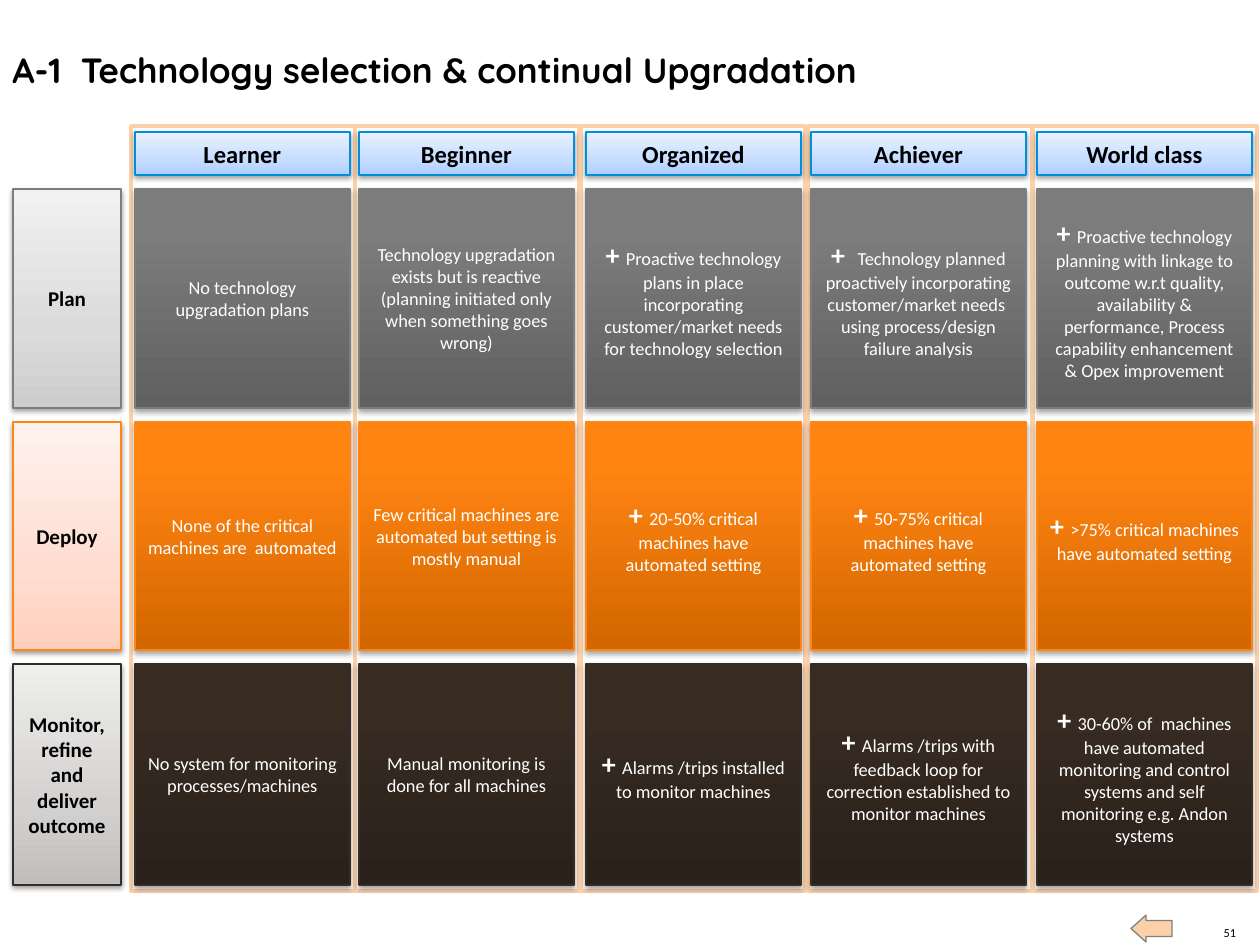
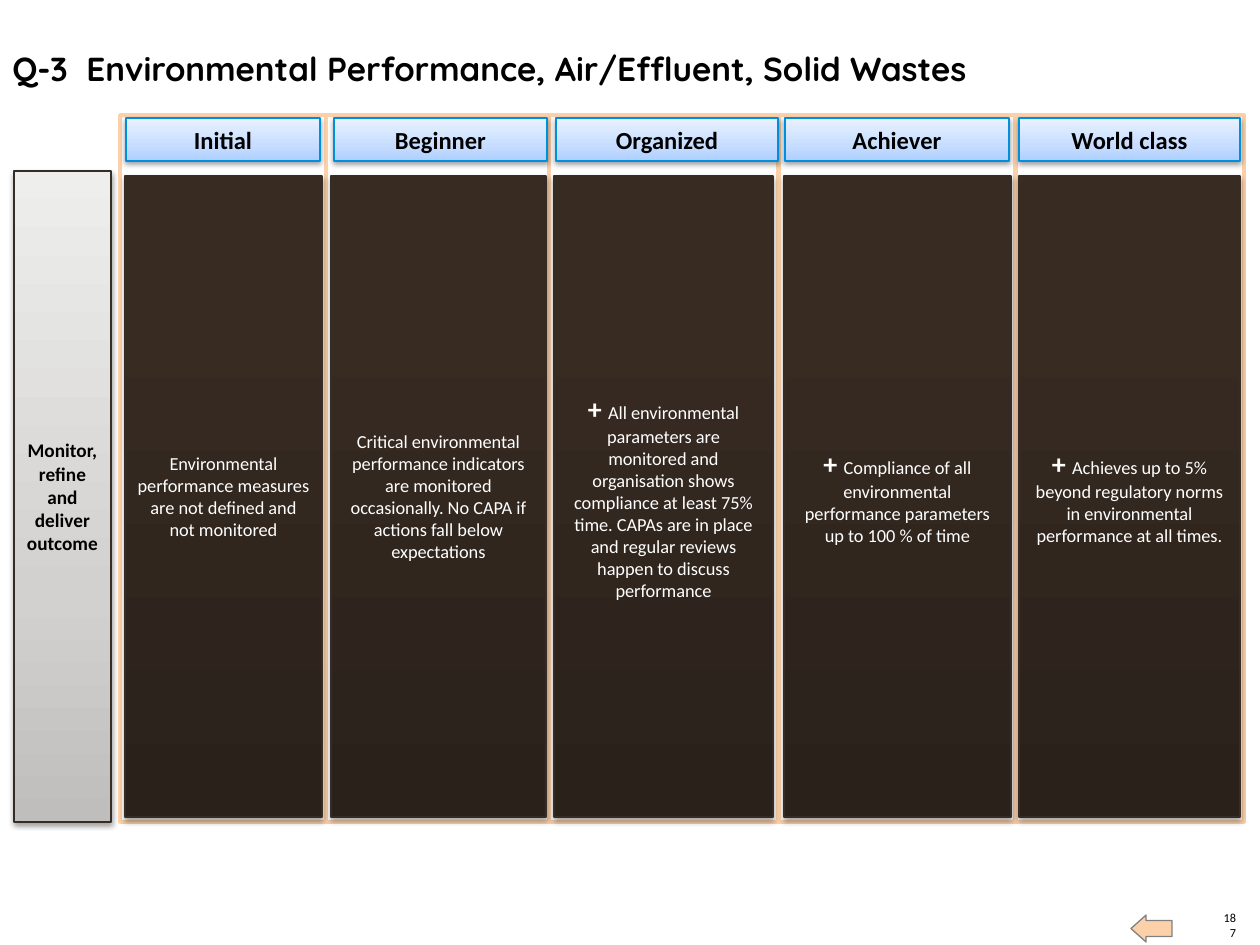
from lxml import etree
from pptx import Presentation
from pptx.dml.color import RGBColor
from pptx.enum.shapes import MSO_SHAPE
from pptx.enum.text import MSO_ANCHOR, PP_ALIGN
from pptx.oxml.ns import qn
from pptx.util import Pt

RECTANGLE = MSO_SHAPE.RECTANGLE
ARROW = MSO_SHAPE.RIGHT_ARROW
TOP, MIDDLE, BOTTOM = MSO_ANCHOR.TOP, MSO_ANCHOR.MIDDLE, MSO_ANCHOR.BOTTOM
LEFT, CENTER, RIGHT = PP_ALIGN.LEFT, PP_ALIGN.CENTER, PP_ALIGN.RIGHT

PIXEL = 914400 / 126
SLIDE_SIZE = (1260, 945)
BODY_FONT, TITLE_FONT = "Calibri", "Quicksand"
COLORS = {
    "text": "000000",
    "light": "FFFFFF",
    "peach": "FCD1AA",
    "arrow_line": "808080",
}

# Gradient stops run from the bottom edge to the top edge
STYLES = {
    "header": {"stops": [(0, "AECFFF"), (35, "C6DDFF"), (100, "E9F2FF")], "line": "008FDC"},
    "plan_label": {"stops": [(0, "CDCDCD"), (35, "DBDBDB"), (100, "F1F1F1")], "line": "7D7D7D"},
    "plan_card": {"stops": [(0, "606060"), (80, "7C7C7C"), (100, "7D7D7D")], "line": "7D7D7D"},
    "deploy_label": {"stops": [(0, "FFCFBD"), (35, "FFDDD1"), (100, "FFF2EE")], "line": "FF8615"},
    "deploy_card": {"stops": [(0, "D26600"), (80, "FF8412"), (100, "FF8514")], "line": "FF8615"},
    "monitor_label": {"stops": [(0, "C0BEBC"), (35, "D3D1D0"), (100, "EEEEED")], "line": "352C25"},
    "monitor_card": {"stops": [(0, "2A211B"), (80, "372B22"), (100, "372B22")], "line": "352C25"},
}
# Opacity in percent, blur and distance in points
PALE_SHADOW = (38, 3.15, 1.57)
CARD_SHADOW = (35, 3.15, 1.81)

# Content; every column span is (left, width), every row span is (top, height)
TECHNOLOGY_CARDS = [(135, 215), (359, 215), (586, 215), (811, 215), (1037, 215)]
MATRICES = [
    {
        "title": "A-1  Technology selection & continual Upgradation",
        "title_size": 20,
        "page": "51",
        "levels": ["Learner", "Beginner", "Organized", "Achiever", "World class"],
        "frame_columns": [(131, 224), (355, 224), (581, 224), (808, 224), (1033, 224)],
        "header_columns": TECHNOLOGY_CARDS,
        "card_columns": TECHNOLOGY_CARDS,
        "label_column": (13, 108),
        "label_size": 12,
        "frame_span": (126, 765),
        "header_span": (132, 43),
        "rows": [
            {
                "name": "Plan", "style": "plan",
                "label_span": (189, 219), "card_span": (189, 219),
                "cards": [
                    "No technology upgradation plans",
                    "Technology upgradation exists but is reactive (planning initiated "
                    "only when something goes wrong)",
                    "+ Proactive technology plans in place incorporating "
                    "customer/market needs for technology selection",
                    "+  Technology planned proactively incorporating customer/market "
                    "needs  using process/design failure analysis",
                    "+ Proactive technology planning with linkage to outcome w.r.t "
                    "quality, availability & performance, Process capability "
                    "enhancement & Opex improvement",
                ],
            },
            {
                "name": "Deploy", "style": "deploy",
                "label_span": (422, 228), "card_span": (422, 228),
                "cards": [
                    "None of the critical machines are  automated",
                    "Few critical machines are automated but setting is mostly manual",
                    "+ 20-50% critical machines have automated setting",
                    "+ 50-75% critical machines have automated setting",
                    "+ >75% critical machines have automated setting",
                ],
            },
            {
                "name": "Monitor, refine and deliver outcome", "style": "monitor",
                "label_span": (664, 221), "card_span": (664, 221),
                "cards": [
                    "No system for monitoring processes/machines",
                    "Manual monitoring is done for all machines",
                    "+ Alarms /trips installed to monitor machines",
                    "+ Alarms /trips with feedback loop for correction established "
                    "to monitor machines",
                    "+ 30-60% of  machines have automated monitoring and control "
                    "systems and self monitoring e.g. Andon systems",
                ],
            },
        ],
    },
    {
        "title": "Q-3  Environmental Performance, Air/Effluent, Solid Wastes",
        "title_size": 19,
        "page": "187",
        "levels": ["Initial", "Beginner", "Organized", "Achiever", "World class"],
        "frame_columns": [(120, 207), (326, 226), (549, 229), (779, 236), (1016, 228)],
        "header_columns": [(126, 194), (334, 213), (556, 222), (785, 224), (1019, 221)],
        "card_columns": [(125, 197), (331, 215), (554, 219), (784, 227), (1019, 221)],
        "label_column": (14, 97),
        "label_size": 11,
        "frame_span": (115, 707),
        "header_span": (118, 43),
        "rows": [
            {
                "name": "Monitor, refine and deliver outcome", "style": "monitor",
                "label_span": (171, 651), "card_span": (176, 641),
                "cards": [
                    "Environmental performance measures are not defined and not monitored",
                    "Critical environmental performance indicators are monitored "
                    "occasionally. No CAPA if actions fall below expectations",
                    "+ All environmental parameters are monitored and organisation shows "
                    "compliance at least 75% time. CAPAs are in place and regular reviews "
                    "happen to discuss performance",
                    "+ Compliance of all environmental performance parameters up to "
                    "100 % of time",
                    "+ Achieves up to 5% beyond regulatory norms in environmental "
                    "performance at all times.",
                ],
            },
        ],
    },
]


def emu(*pixels):
    return [round(value * PIXEL) for value in pixels]


def color(value):
    return RGBColor.from_string(value)


def write(shape, runs, ink="text", font=BODY_FONT, align=CENTER, anchor=MIDDLE):
    """Fill a shape with one paragraph of (text, size, bold) runs."""
    frame = shape.text_frame
    frame.word_wrap = True
    frame.vertical_anchor = anchor
    paragraph = frame.paragraphs[0]
    paragraph.alignment = align
    for text, size, bold in runs:
        run = paragraph.add_run()
        run.text = text
        run.font.name = font
        run.font.size = Pt(size)
        run.font.bold = bold
        run.font.color.rgb = color(COLORS[ink])


def add_outlined(slide, kind, box, fill, line, width):
    shape = slide.shapes.add_shape(kind, *emu(*box))
    shape.shadow.inherit = False
    shape.fill.solid()
    shape.fill.fore_color.rgb = color(fill)
    shape.line.color.rgb = color(line)
    shape.line.width = Pt(width)
    return shape


def add_color(parent, value):
    return etree.SubElement(parent, qn("a:srgbClr"), val=value)


def add_panel(slide, column, span, style, shadow):
    """Rectangle with a vertical gradient and a soft shadow below it."""
    (left, width), (top, height) = column, span
    stops, line = STYLES[style]["stops"], STYLES[style]["line"]
    shape = add_outlined(slide, RECTANGLE, (left, top, width, height), line, line, 0.75)
    shape.fill.gradient()
    shape.fill.gradient_angle = 90
    properties = shape._element.spPr
    stop_list = properties.find(qn("a:gradFill")).find(qn("a:gsLst"))
    for stop in list(stop_list):
        stop_list.remove(stop)
    for position, value in stops:
        add_color(etree.SubElement(stop_list, qn("a:gs"), pos=str(position * 1000)), value)

    opacity, blur, distance = shadow
    outer = etree.SubElement(
        properties.find(qn("a:effectLst")), qn("a:outerShdw"),
        blurRad=str(Pt(blur)), dist=str(Pt(distance)), dir="5400000", rotWithShape="0")
    etree.SubElement(add_color(outer, "000000"), qn("a:alpha"), val=str(opacity * 1000))
    return shape


def card_runs(text):
    """Set a leading plus sign large and bold, the rest in body size."""
    if not text.startswith("+"):
        return [(text, 10.5, False)]
    body = text[1:].lstrip()
    return [(text[:-len(body)], 16, True), (body, 10.5, False)]


def add_title_and_footer(slide, matrix):
    title = slide.shapes.add_textbox(*emu(0, 42, 1084, 54))
    write(title, [(matrix["title"], matrix["title_size"], True)],
          font=TITLE_FONT, align=LEFT, anchor=TOP)

    page = slide.shapes.add_textbox(*emu(1221, 925, 15, 15))
    frame = page.text_frame
    frame.margin_left = frame.margin_right = frame.margin_top = frame.margin_bottom = 0
    write(page, [(matrix["page"], 7, False)], align=RIGHT, anchor=BOTTOM)

    arrow = add_outlined(slide, ARROW, (1131, 915, 41, 27),
                         COLORS["peach"], COLORS["arrow_line"], 0.75)
    arrow.rotation = 180
    arrow.adjustments[0], arrow.adjustments[1] = 0.59, 0.56


def add_matrix(slide, matrix):
    # Column frames
    top, height = matrix["frame_span"]
    for left, width in matrix["frame_columns"]:
        add_outlined(slide, RECTANGLE, (left, top, width, height),
                     COLORS["light"], COLORS["peach"], 2)

    # Row labels and cards
    for row in matrix["rows"]:
        label = add_panel(slide, matrix["label_column"], row["label_span"],
                          row["style"] + "_label", PALE_SHADOW)
        write(label, [(row["name"], matrix["label_size"], True)])
        for column, text in zip(matrix["card_columns"], row["cards"]):
            card = add_panel(slide, column, row["card_span"],
                             row["style"] + "_card", CARD_SHADOW)
            write(card, card_runs(text), ink="light")

    # Level headers
    for column, level in zip(matrix["header_columns"], matrix["levels"]):
        header = add_panel(slide, column, matrix["header_span"], "header", PALE_SHADOW)
        write(header, [(level, 14, True)])


def main():
    presentation = Presentation()
    presentation.slide_width, presentation.slide_height = emu(*SLIDE_SIZE)
    for matrix in MATRICES:
        slide = presentation.slides.add_slide(presentation.slide_layouts[6])
        add_title_and_footer(slide, matrix)
        add_matrix(slide, matrix)
    presentation.save("out.pptx")


if __name__ == "__main__":
    main()
